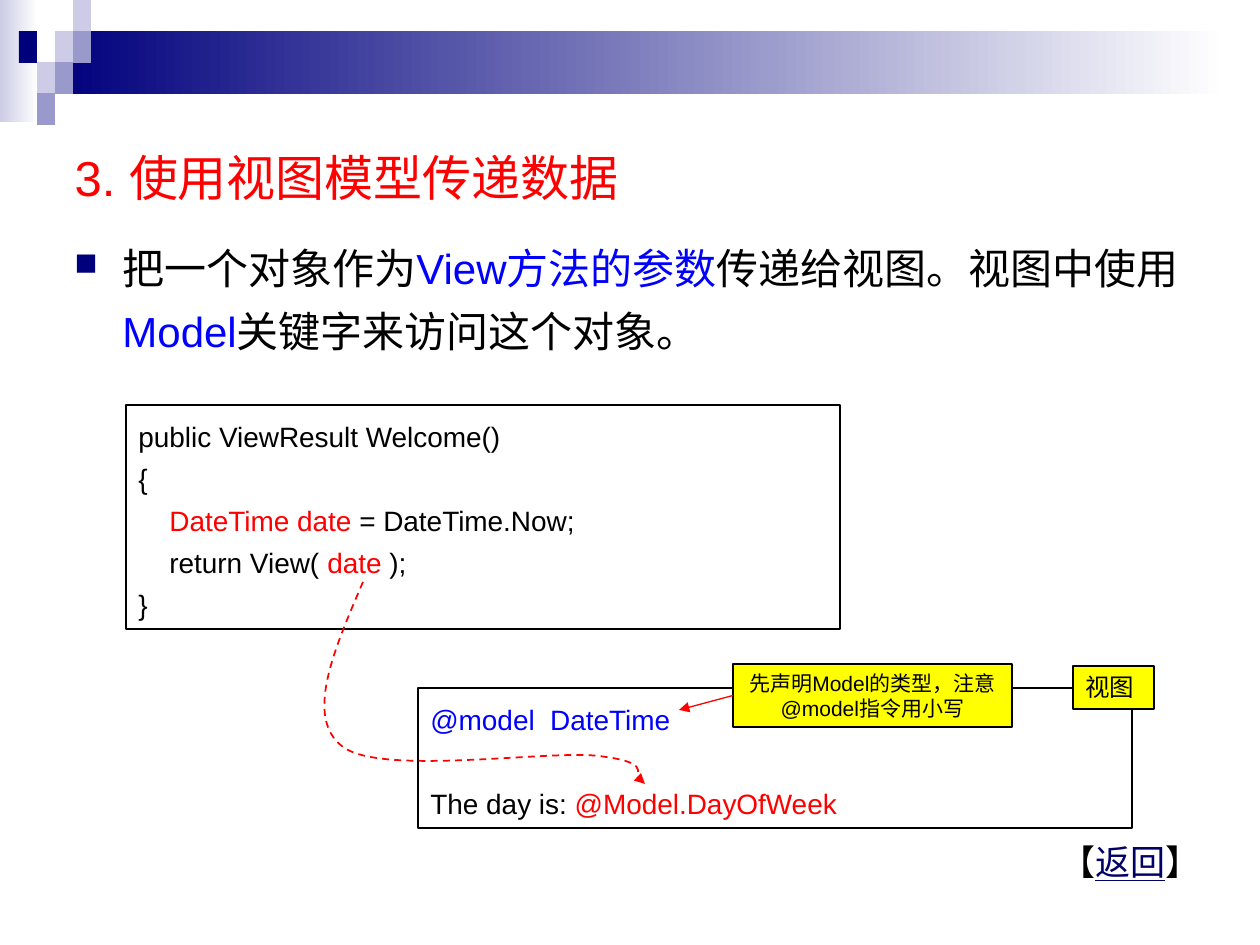
from dataclasses import dataclass

from lxml import etree
from pptx import Presentation
from pptx.dml.color import RGBColor
from pptx.enum.dml import MSO_LINE
from pptx.enum.shapes import MSO_CONNECTOR, MSO_SHAPE
from pptx.enum.text import MSO_ANCHOR, MSO_AUTO_SIZE, PP_ALIGN
from pptx.oxml.ns import qn
from pptx.util import Pt

RECT, STRAIGHT, DASH = MSO_SHAPE.RECTANGLE, MSO_CONNECTOR.STRAIGHT, MSO_LINE.DASH
TOP, MIDDLE = MSO_ANCHOR.TOP, MSO_ANCHOR.MIDDLE
LEFT, CENTER = PP_ALIGN.LEFT, PP_ALIGN.CENTER
FIT, FIXED = MSO_AUTO_SIZE.SHAPE_TO_FIT_TEXT, MSO_AUTO_SIZE.NONE
EMU_PER_PX = 914400 / 126


@dataclass(frozen=True)
class Theme:
    latin: str = "Arial"
    cjk: str = "Noto Sans CJK SC"
    black: str = "000000"
    white: str = "FFFFFF"
    red: str = "FF0000"
    blue: str = "0000FF"
    yellow: str = "FFFF00"
    link: str = "000066"
    navy: str = "00007D"
    mid: str = "9999CC"
    pale: str = "CCCCE6"
    title: int = 28
    body: int = 24
    back: int = 20
    code: int = 16
    tag: int = 14
    note: int = 12


T = Theme()


def px(*values):
    return [round(v * EMU_PER_PX) for v in values]


def rgb(color):
    return RGBColor.from_string(color)


def write(sp, paragraphs, size, align=LEFT, anchor=TOP, spacing=1, after=0,
          wrap=True, fit=FIXED, bullet=False, font=T.latin, gaps=None):
    """Fill a shape; each paragraph is a list of (text, colour[, underline]) runs."""
    tf = sp.text_frame
    tf.word_wrap, tf.auto_size, tf.vertical_anchor = wrap, fit, anchor
    for i, runs in enumerate(paragraphs):
        p = tf.paragraphs[0] if i == 0 else tf.add_paragraph()
        p.alignment, p.line_spacing = align, spacing
        p.space_before, p.space_after = Pt((gaps or {}).get(i, 0)), Pt(after)
        if bullet:
            add_bullet(p)
        for text, color, *underline in runs:
            r = p.add_run()
            r.text = text
            r.font.size, r.font.name = Pt(size), font
            r.font.color.rgb = rgb(color)
            if underline:
                r.font.underline = True
            ea = etree.SubElement(r.font._element, qn("a:ea"))
            ea.set("typeface", T.cjk)


def add_bullet(p):
    pPr = p._p.get_or_add_pPr()
    indent, = px(48)
    pPr.set("marL", str(indent))
    pPr.set("indent", str(-indent))
    color = etree.SubElement(pPr, qn("a:buClr"))
    etree.SubElement(color, qn("a:srgbClr")).set("val", T.navy)
    etree.SubElement(pPr, qn("a:buSzPct")).set("val", "75000")
    etree.SubElement(pPr, qn("a:buFont")).set("typeface", "Wingdings")
    etree.SubElement(pPr, qn("a:buChar")).set("char", "n")


def add_rect(slide, box, fill=None, fade_to=None, line=None):
    sp = slide.shapes.add_shape(RECT, *px(*box))
    sp.shadow.inherit = False
    if fade_to:
        sp.fill.gradient()
        sp.fill.gradient_angle = 0
        for stop, color, at in zip(sp.fill.gradient_stops, (fill, fade_to), (0, 1)):
            stop.color.rgb, stop.position = rgb(color), at
    elif fill:
        sp.fill.solid()
        sp.fill.fore_color.rgb = rgb(fill)
    else:
        sp.fill.background()
    if line:
        sp.line.color.rgb, sp.line.width = rgb(line), Pt(0.75)
    else:
        sp.line.fill.background()
    return sp


def add_panel(slide, box, paragraphs, size, fill=None, **fmt):
    sp = add_rect(slide, box, fill, line=T.black)
    write(sp, paragraphs, size, fit=FIT, **fmt)
    return sp


def add_text(slide, box, paragraphs, size, **fmt):
    write(slide.shapes.add_textbox(*px(*box)), paragraphs, size, **fmt)


def style_arrow(sp, width):
    sp.line.color.rgb, sp.line.width = rgb(T.red), Pt(width)
    etree.SubElement(sp.line._get_or_add_ln(), qn("a:tailEnd")).set("type", "triangle")


def add_curved_arrow(slide, start, points):
    """Dashed arrow along cubic curves; points come in threes."""
    builder = slide.shapes.build_freeform(*start, scale=EMU_PER_PX)
    builder.add_line_segments(points, close=False)
    sp = builder.convert_to_shape()
    segments = list(sp._element.iter(qn("a:lnTo")))
    for i in range(0, len(segments), 3):
        curve = etree.Element(qn("a:cubicBezTo"))
        segments[i].addprevious(curve)
        for segment in segments[i:i + 3]:
            curve.append(segment[0])
            segment.getparent().remove(segment)
    sp.shadow.inherit = False
    sp.fill.background()
    sp.line.dash_style = DASH
    style_arrow(sp, 1)


def add_arrow_from(slide, sp, side, end):
    arrow = slide.shapes.add_connector(STRAIGHT, 0, 0, *px(*end))
    arrow.begin_connect(sp, side)
    style_arrow(arrow, 0.75)
    etree.SubElement(arrow._element.spPr, qn("a:effectLst"))


def add_header_decoration(slide):
    add_rect(slide, (0, 0, 38, 122), T.pale, fade_to=T.white)
    add_rect(slide, (55, 31, 1171, 63), T.navy, fade_to=T.white)
    tiles = {T.pale: [(2, 1), (3, 0), (1, 2)],
             T.mid: [(3, 1), (2, 2), (1, 3)],
             T.navy: [(0, 1)]}
    for color, cells in tiles.items():
        for col, row in cells:
            add_rect(slide, (19 + 18 * col, 31 * row, 18, 32), color)


def set_title(slide, box, text):
    title = slide.shapes.title
    title.left, title.top, title.width, title.height = px(*box)
    write(title, [[(text, T.red)]], T.title, anchor=MIDDLE)


def main():
    prs = Presentation()
    prs.slide_width, prs.slide_height = px(1260, 945)
    slide = prs.slides.add_slide(prs.slide_layouts[5])
    add_header_decoration(slide)
    set_title(slide, (62, 132, 1134, 90), "3. 使用视图模型传递数据")
    add_text(slide, (62, 224, 1154, 586), [[
        ("把一个对象作为", T.black), ("View方法的参数", T.blue),
        ("传递给视图。视图中使用", T.black), ("Model", T.blue),
        ("关键字来访问这个对象。", T.black)]],
        T.body, spacing=1.25, after=6, bullet=True)

    add_panel(slide, (126, 405, 714, 224), [
        [("public ViewResult Welcome()", T.black)],
        [("{", T.black)],
        [("    ", T.black), ("DateTime date ", T.red), ("= DateTime.Now;", T.black)],
        [("    return View( ", T.black), ("date ", T.red), (");", T.black)],
        [("}", T.black)]], T.code, spacing=1.25)
    add_panel(slide, (418, 688, 714, 140), [
        [("@model  DateTime", T.blue)],
        [("The day is: ", T.black), ("@Model.DayOfWeek", T.red)]],
        T.code, fill=T.white, spacing=1.25, gaps={1: 24})
    add_panel(slide, (1073, 666, 81, 43), [[("视图", T.black)]], T.tag, fill=T.yellow)
    note = add_panel(slide, (733, 664, 279, 63),
                     [[("先声明Model的类型，注意@model指令用小写", T.black)]],
                     T.note, fill=T.yellow, align=CENTER)

    add_curved_arrow(slide, (363, 582), [
        (334, 650), (304, 718), (343, 747),
        (382, 776), (548, 750), (598, 756),
        (649, 762), (632, 784), (645, 784)])
    add_arrow_from(slide, note, 1, (679, 710))
    add_text(slide, (1048, 834, 166, 55),
             [[("【", T.black), ("返回", T.link, True), ("】", T.black)]],
             T.back, wrap=False, fit=FIT, font=T.cjk)
    prs.save("out.pptx")


if __name__ == "__main__":
    main()
